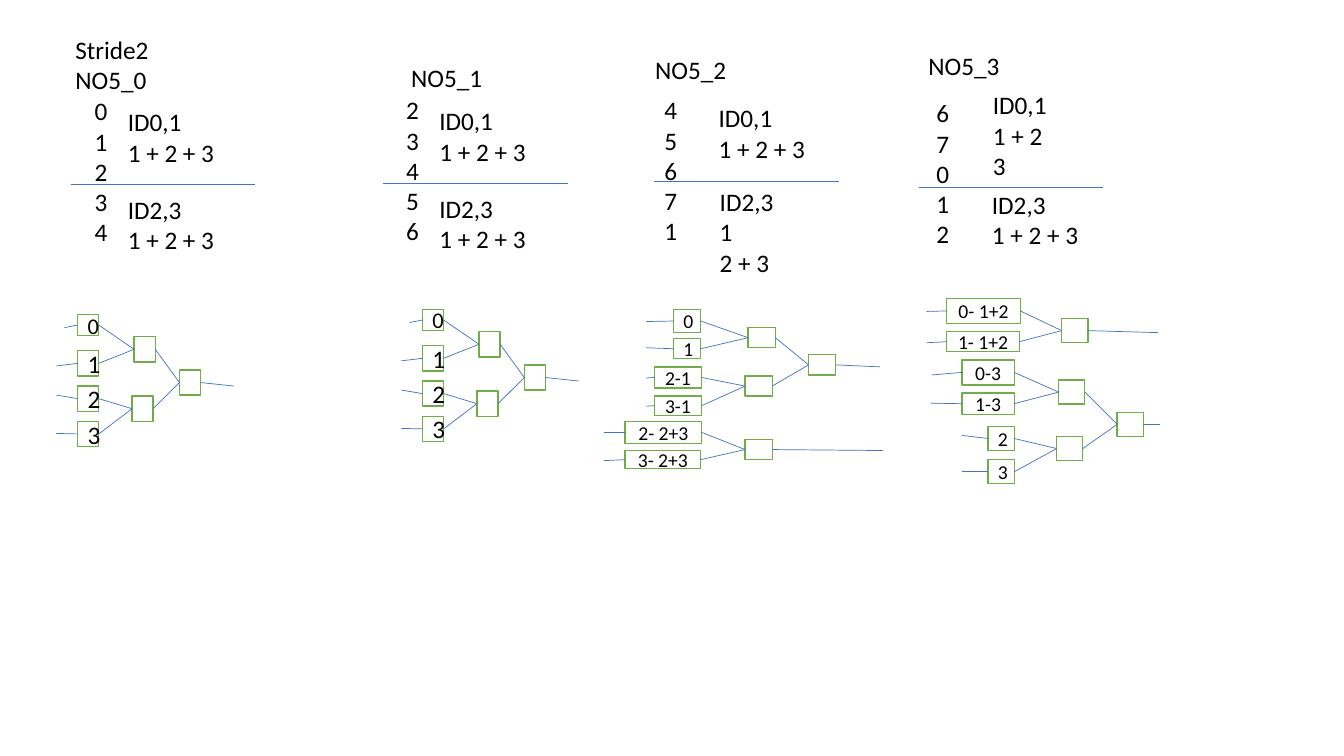
import pptx
import pptx.dml.color
import pptx.enum.shapes
import pptx.enum.text
import pptx.oxml.ns
import pptx.util
import lxml.etree

PX = 9144  # EMU per px, at 100 px to the inch
COLORS = {"text": "000000", "box": "FFFFFF", "border": "70AD47", "wire": "4472C4"}

presentation = pptx.Presentation()
presentation.slide_width = 1333 * PX
presentation.slide_height = 750 * PX
slide = presentation.slides.add_slide(presentation.slide_layouts[6])


def write_text(shape, text, size):
    shape.text_frame.text = text
    for paragraph in shape.text_frame.paragraphs:
        paragraph.font.size = pptx.util.Pt(size)
        paragraph.font.name = "Calibri"
        paragraph.font.color.rgb = pptx.dml.color.RGBColor.from_string(COLORS["text"])


def add_wire(shapes, start, end):
    wire = shapes.add_connector(
        pptx.enum.shapes.MSO_CONNECTOR.STRAIGHT,
        *(round(value * PX) for value in (*start, *end)))
    wire.line.color.rgb = pptx.dml.color.RGBColor.from_string(COLORS["wire"])
    wire.line.width = pptx.util.Pt(0.5)
    properties = wire._element.spPr
    lxml.etree.SubElement(properties, pptx.oxml.ns.qn("a:effectLst"))


# Text above the networks: left, top, width, height, text
notes = [
    (65, 29, 93, 71, "Stride2\nNO5_0"),
    (84, 90, 33, 162, "0\n1\n2\n3\n4"),
    (117, 101, 107, 71, "ID0,1\n1 + 2 + 3"),
    (117, 188, 107, 71, "ID2,3\n1 + 2 + 3"),
    (398, 57, 91, 40, "NO5_1"),
    (393, 89, 33, 162, "2\n3\n4\n5\n6"),
    (426, 100, 107, 71, "ID0,1\n1 + 2 + 3"),
    (426, 187, 107, 71, "ID2,3\n1 + 2 + 3"),
    (640, 49, 91, 40, "NO5_2"),
    (649, 89, 33, 162, "4\n5\n6\n7\n1"),
    (703, 97, 107, 71, "ID0,1\n1 + 2 + 3"),
    (704, 180, 76, 101, "ID2,3\n1\n2 + 3"),
    (911, 45, 91, 40, "NO5_3"),
    (919, 92, 33, 162, "6\n7\n0\n1\n2"),
    (975, 84, 74, 101, "ID0,1\n1 + 2\n3"),
    (974, 183, 107, 71, "ID2,3\n1 + 2 + 3"),
]
for left, top, width, height, text in notes:
    note = slide.shapes.add_textbox(left * PX, top * PX, width * PX, height * PX)
    note.text_frame.word_wrap = False
    note.text_frame.auto_size = pptx.enum.text.MSO_AUTO_SIZE.SHAPE_TO_FIT_TEXT
    write_text(note, text, 18)

# Dividers between the two ID blocks
for left, top in [(70, 183), (380, 182), (649, 180), (911, 186)]:
    add_wire(slide.shapes, (left, top), (left + 183, top))

# Adder trees: inputs (box, label, size, wire start), adder boxes, output wire end
plain_tree = (
    [((77, 312, 21, 21), "0", 16, (64, 325)),
     ((77, 348, 21, 25), "1", 18, (56, 363)),
     ((77, 383, 21, 25), "2", 18, (56, 392)),
     ((77, 418, 21, 25), "3", 18, (56, 430))],
    [(133, 334, 21, 25), (131, 393, 21, 25), (178, 367, 21, 25)],
    (232, 383),
)
split_last_trees = [
    ([((668, 307, 27, 23), "0", 14, (641, 319)),
      ((668, 336, 27, 20), "1", 14, (641, 345)),
      ((649, 364, 47, 21), "2-1", 14, (641, 375)),
      ((649, 393, 47, 19), "3-1", 14, (641, 403))],
     [(742, 325, 27, 20), (739, 373, 27, 20), (802, 352, 27, 20)],
     (873, 364)),
    ([((620, 418, 76, 22), "2- 2+3", 14, (599, 429)),
      ((620, 447, 75, 18), "3- 2+3", 14, (599, 457))],
     [(739, 436, 27, 20)],
     (876, 447)),
]
split_first_trees = [
    ([((939, 296, 73, 25), "0- 1+2", 14, (919, 309)),
      ((939, 329, 72, 20), "1- 1+2", 14, (919, 340))],
     [(1053, 316, 26, 24)],
     (1149, 330)),
    ([((954, 357, 52, 25), "0-3", 14, (924, 372)),
      ((954, 390, 52, 21), "1-3", 14, (923, 400)),
      ((980, 423, 26, 24), "2", 14, (954, 432)),
      ((980, 456, 26, 24), "3", 14, (954, 468))],
     [(1050, 377, 26, 24), (1048, 433, 26, 24), (1108, 409, 26, 24)],
     (1151, 421)),
]

# Networks: trees and their shift
networks = [
    ([plain_tree], 0, 0),
    ([plain_tree], 342, -5),
    (split_last_trees, 0, 0),
    (split_first_trees, 0, 0),
]
for trees, shift_x, shift_y in networks:
    shapes = slide.shapes.add_group_shape().shapes
    for inputs, adders, output in trees:
        boxes = [(box, label, size) for box, label, size, start in inputs]
        boxes += [(box, "", 14) for box in adders]
        left_ends, right_ends = [], []
        for (left, top, width, height), label, size in boxes:
            left, top = left + shift_x, top + shift_y
            shape = shapes.add_shape(
                pptx.enum.shapes.MSO_SHAPE.RECTANGLE,
                left * PX, top * PX, width * PX, height * PX)
            shape.shadow.inherit = False
            shape.fill.solid()
            shape.fill.fore_color.rgb = pptx.dml.color.RGBColor.from_string(COLORS["box"])
            shape.line.color.rgb = pptx.dml.color.RGBColor.from_string(COLORS["border"])
            shape.line.width = pptx.util.Pt(1)
            if label:
                write_text(shape, label, size)
                shape.text_frame.vertical_anchor = pptx.enum.text.MSO_ANCHOR.MIDDLE
                shape.text_frame.paragraphs[0].alignment = pptx.enum.text.PP_ALIGN.CENTER
            left_ends.append((left, top + height / 2))
            right_ends.append((left + width, top + height / 2))

        # Wires: into the inputs, each pair into its adder, and out of the last adder
        for (box, label, size, (x, y)), end in zip(inputs, left_ends):
            add_wire(shapes, (x + shift_x, y + shift_y), end)
        for index, start in enumerate(right_ends[:-1]):
            add_wire(shapes, start, left_ends[len(inputs) + index // 2])
        add_wire(shapes, right_ends[-1], (output[0] + shift_x, output[1] + shift_y))

presentation.save("out.pptx")
